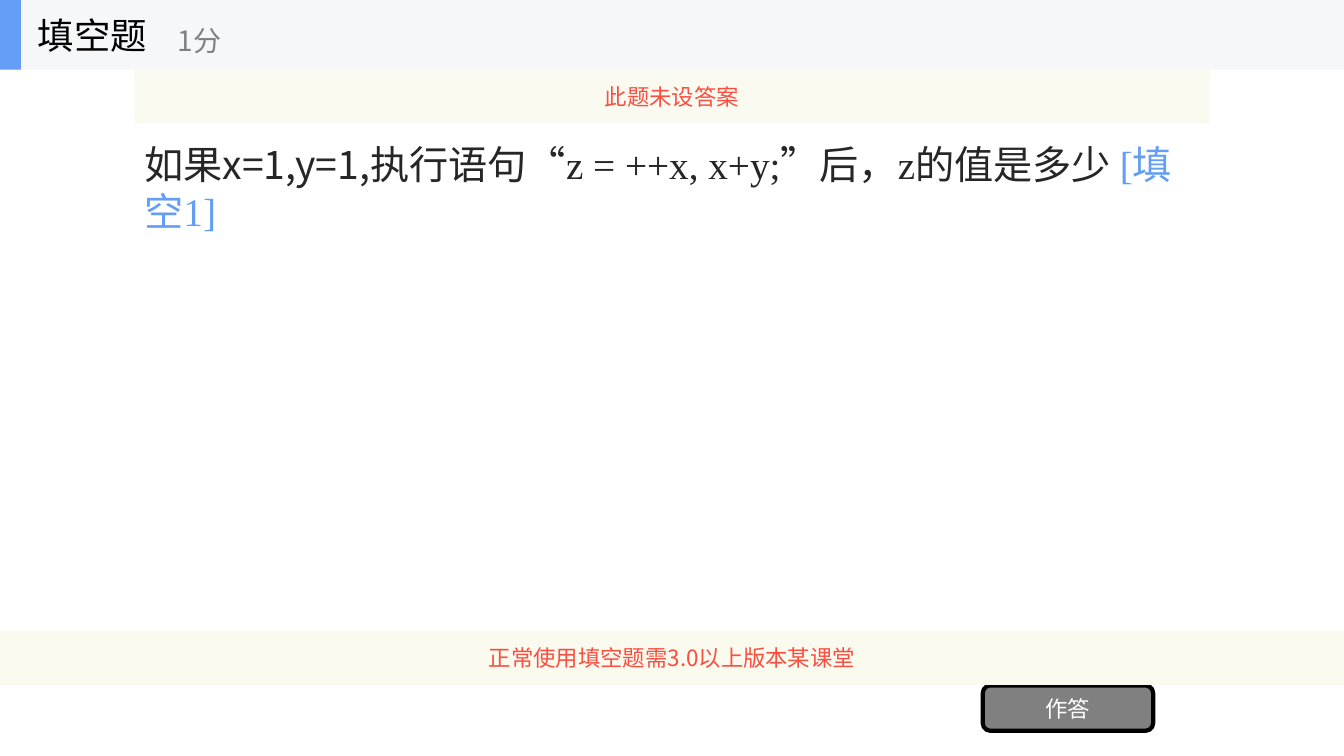
from pptx import Presentation
from pptx.dml.color import RGBColor as RGB
from pptx.enum.shapes import MSO_SHAPE as Kind
from pptx.enum.text import MSO_ANCHOR as Anchor, PP_ALIGN as Align
from pptx.oxml.ns import qn
from pptx.util import Pt
from lxml.etree import SubElement as Sub

WIDE, HIGH = 960, 540
HEAD = 49.7    # height of the title bar
BAND = 38.5    # height of a notice band
EDGE = 96      # side margin of the question
SANS, SERIF = "Noto Sans CJK SC", "Times New Roman"

WHITE = RGB(0xFF, 0xFF, 0xFF)
BLACK = RGB(0, 0, 0)
DARK = RGB(0x26, 0x26, 0x26)
GRAY = RGB(0x80, 0x80, 0x80)
PALE = RGB(0xF6, 0xF7, 0xF8)
BLUE = RGB(0x63, 0x9E, 0xF4)
CREAM = RGB(0xFB, 0xFA, 0xEF)
RED = RGB(0xF8, 0x4F, 0x41)


def write(shape, runs, size, align=Align.LEFT):
    """Fill a shape with one paragraph of (text, colour, font) runs."""
    frame = shape.text_frame
    for key, value in {"word_wrap": True, "vertical_anchor": Anchor.MIDDLE}.items():
        setattr(frame, key, value)
    para = frame.paragraphs[0]
    para.alignment = align
    for text, color, face in runs:
        run = para.add_run()
        run.text = text
        for key, value in {"size": Pt(size), "name": face}.items():
            setattr(run.font, key, value)
        run.font.color.rgb = color
        # Chinese characters always use the sans face
        Sub(run.font._element, qn("a:ea"), typeface=SANS)


def block(shapes, box, fill, kind=Kind.RECTANGLE):
    shape = shapes.add_shape(kind, *map(Pt, box))
    shape.shadow.inherit = False
    shape.fill.solid()
    shape.fill.fore_color.rgb = fill
    shape.line.fill.background()
    return shape


def label(shapes, box, runs, size):
    write(shapes.add_textbox(*map(Pt, box)), runs, size)


def notice(shapes, box, text):
    band = block(shapes, box, CREAM)
    write(band, [(text, RED, SANS)], 16, Align.CENTER)
    return band


def fade(shape, percent):
    color = shape.fill._xPr.find(qn("a:solidFill"))[0]
    Sub(color, qn("a:alpha"), val=str(percent * 1000))


def button(shapes, box, text):
    shape = block(shapes, box, GRAY, Kind.ROUNDED_RECTANGLE)
    shape.line.color.rgb = BLACK
    shape.line.width = Pt(3)
    write(shape, [(text, WHITE, SANS)], 16, Align.CENTER)


def main():
    deck = Presentation()
    deck.slide_width, deck.slide_height = Pt(WIDE), Pt(HIGH)
    shapes = deck.slides.add_slide(deck.slide_layouts[6]).shapes

    # Question
    inner = WIDE - 2 * EDGE
    label(shapes, (EDGE, HEAD, inner, 168.5), [
        ("如果x=1,y=1,执行语句“", DARK, SANS),
        ("z = ++x, x+y;”后，z的值是多少 ", DARK, SERIF),
        ("[填空1]", BLUE, SERIF),
    ], 28)

    # Answer button and notices
    button(shapes, (702, 489.6, 121.7, 32.4), "作答")
    notice(shapes, (0, 450.7, WIDE, BAND), "正常使用填空题需3.0以上版本某课堂")
    fade(notice(shapes, (EDGE, HEAD, inner, BAND), "此题未设答案"), 90)

    # Title bar
    bar = shapes.add_group_shape().shapes
    block(bar, (0, 0, WIDE, HEAD), PALE)
    block(bar, (0, 0, 15, HEAD), BLUE)
    label(bar, (20, 0, 150, HEAD), [("填空题", BLACK, SANS)], 26)
    label(bar, (120, 8.6, 180, 40), [("1分", GRAY, SANS)], 20)

    deck.save("out.pptx")


if __name__ == "__main__":
    main()
